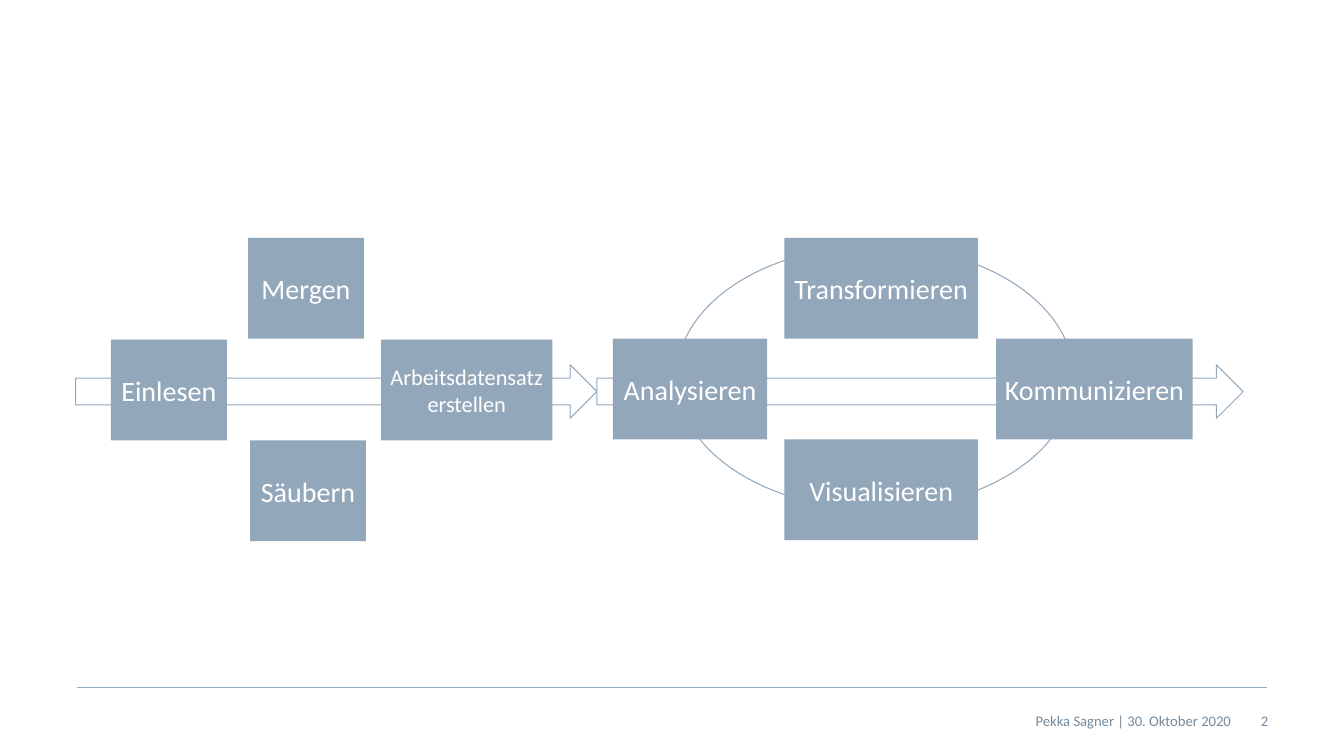
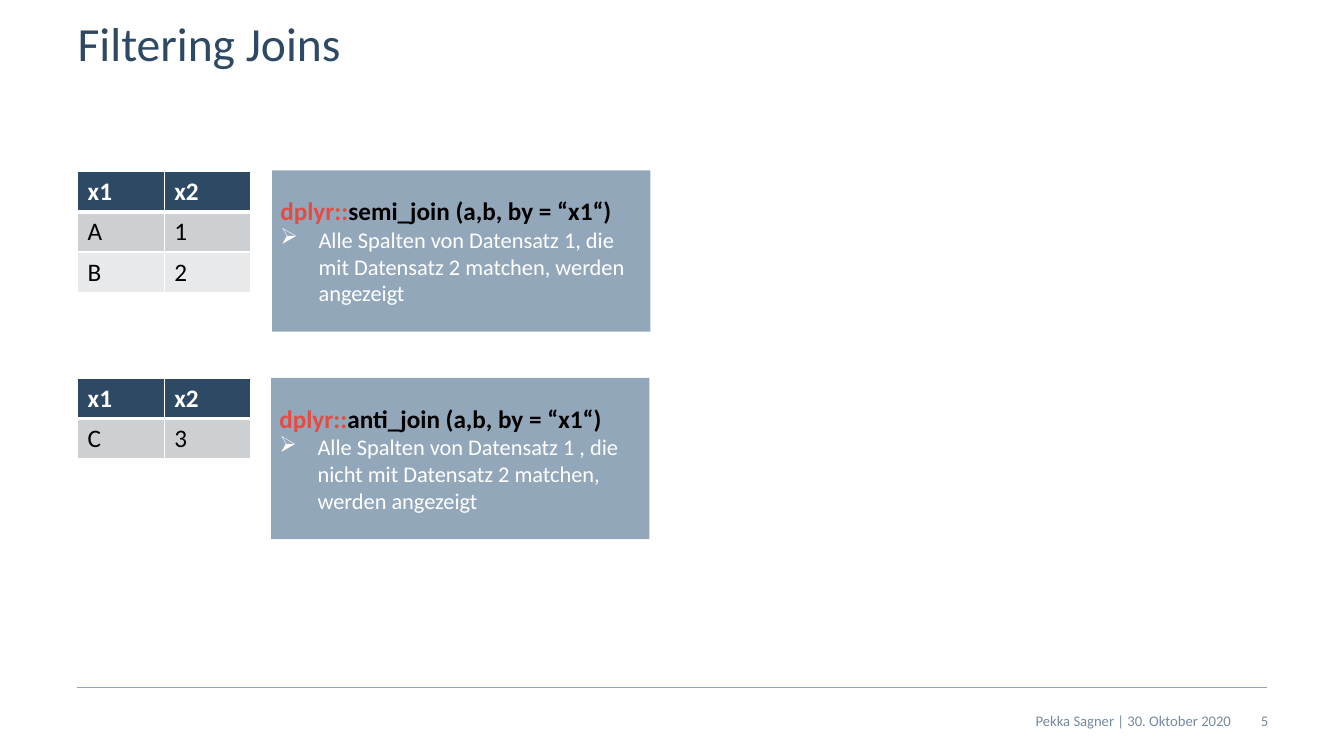
from lxml import etree
from pptx import Presentation
from pptx.dml.color import RGBColor
from pptx.enum.shapes import MSO_CONNECTOR, MSO_SHAPE
from pptx.enum.text import MSO_ANCHOR, PP_ALIGN
from pptx.oxml.ns import qn
from pptx.util import Inches, Pt

RECTANGLE, ELLIPSE, ARROW = MSO_SHAPE.RECTANGLE, MSO_SHAPE.OVAL, MSO_SHAPE.RIGHT_ARROW
STRAIGHT = MSO_CONNECTOR.STRAIGHT
LEFT, CENTER, RIGHT = PP_ALIGN.LEFT, PP_ALIGN.CENTER, PP_ALIGN.RIGHT
TOP, MIDDLE = MSO_ANCHOR.TOP, MSO_ANCHOR.MIDDLE

FONT = "Calibri"
NAVY, STEEL, FOOTER_GREY = "2E4964", "93A7BB", "748A9D"
RED, BLACK, WHITE = "E74A40", "000000", "FFFFFF"
BAND_COLORS = ("CDD0D3", "E8E9EA")
TITLE_ONLY, BLANK = 5, 6


def rgb(color):
    return RGBColor.from_string(color)


def place(left, top, width, height):
    return Inches(left), Inches(top), Inches(width), Inches(height)


def format_spans(para, size, color, bold=False):
    for span in para.runs:
        span.font.name = FONT
        span.font.size = Pt(size)
        span.font.bold = bold
        span.font.color.rgb = rgb(color)


def set_frame(frame, inset, anchor, wrap=True):
    frame.margin_left = frame.margin_right = Inches(inset)
    frame.margin_top = frame.margin_bottom = Inches(inset)
    frame.vertical_anchor = anchor
    frame.word_wrap = wrap


# Shared parts
def add_title(page, text):
    title = page.shapes.title
    title.left, title.top, title.width, title.height = place(0.77, 0.2, 11.8, 0.63)
    title.text_frame.text = text
    set_frame(title.text_frame, 0, TOP)
    para = title.text_frame.paragraphs[0]
    para.alignment = LEFT
    para.line_spacing = 0.9
    format_spans(para, 34, NAVY)


def add_footer(page, number):
    rule = page.shapes.add_connector(
        STRAIGHT, Inches(0.76), Inches(6.82), Inches(12.57), Inches(6.82))
    rule.line.color.rgb = rgb(STEEL)
    rule.line.width = Pt(1)
    etree.SubElement(rule.element.spPr, qn("a:effectLst"))
    for text, left, width in ((str(number), 12.2, 0.38),
                              ("Pekka Sagner | 30. Oktober 2020", 6.04, 6.17)):
        box = page.shapes.add_textbox(*place(left, 6.95, width, 0.4))
        set_frame(box.text_frame, 0, MIDDLE)
        para = box.text_frame.paragraphs[0]
        para.text = text
        para.alignment = RIGHT
        format_spans(para, 10.5, FOOTER_GREY)


def add_outline(page, kind, left, top, width, height):
    shape = page.shapes.add_shape(kind, *place(left, top, width, height))
    shape.shadow.inherit = False
    shape.fill.background()
    shape.line.color.rgb = rgb(STEEL)
    shape.line.width = Pt(0.75)


def add_panel(page, left, top, width, height, wrap=True):
    panel = page.shapes.add_shape(RECTANGLE, *place(left, top, width, height))
    panel.shadow.inherit = False
    panel.fill.solid()
    panel.fill.fore_color.rgb = rgb(STEEL)
    panel.line.fill.background()
    set_frame(panel.text_frame, 0.08, MIDDLE, wrap)
    return panel.text_frame


# Workflow diagram
def add_stage(page, left, top, width, lines, size=20):
    frame = add_panel(page, left, top, width, 1, wrap=False)
    frame.text = lines
    for para in frame.paragraphs:
        para.alignment = CENTER
        format_spans(para, size, WHITE)


def add_preparation(page, left, top):
    """Reading, merging and cleaning up to the working data set."""
    add_outline(page, ARROW, left, top + 1.26, 5.17, 0.53)
    add_stage(page, left + 0.35, top + 1.01, 1.15, "Einlesen")
    add_stage(page, left + 1.71, top, 1.15, "Mergen")
    add_stage(page, left + 1.73, top + 2.01, 1.15, "Säubern")
    add_stage(page, left + 3.03, top + 1.01, 1.7, "Arbeitsdatensatz\nerstellen", 16)


def add_analysis(page, left, top):
    """Cycle from analysing to communicating."""
    add_outline(page, ELLIPSE, left + 0.79, top + 0.08, 3.94, 2.61)
    add_outline(page, ARROW, left, top + 1.26, 6.41, 0.53)
    add_stage(page, left + 0.16, top + 1, 1.53, "Analysieren")
    add_stage(page, left + 1.86, top, 1.92, "Transformieren")
    add_stage(page, left + 1.86, top + 2, 1.92, "Visualisieren")
    add_stage(page, left + 3.96, top + 1, 1.95, "Kommunizieren")


def build_workflow(deck):
    page = deck.slides.add_slide(deck.slide_layouts[BLANK])
    add_footer(page, 2)
    add_preparation(page, 0.75, 2.36)
    add_analysis(page, 5.92, 2.36)


# Join examples
def set_border(cell, side, width):
    line = etree.SubElement(cell._tc.get_or_add_tcPr(), qn("a:" + side),
                            w=str(Pt(width)))
    fill = etree.SubElement(line, qn("a:solidFill"))
    etree.SubElement(fill, qn("a:srgbClr"), val=WHITE)


def add_data_table(page, left, top, rows):
    column_width, row_height = 0.86, 0.4
    table = page.shapes.add_table(
        len(rows), 2, *place(left, top, 2 * column_width, row_height * len(rows))).table
    for row_index, values in enumerate(rows):
        header = row_index == 0
        fill = NAVY if header else BAND_COLORS[(row_index - 1) % 2]
        for column_index, value in enumerate(values):
            cell = table.cell(row_index, column_index)
            cell.text = value
            format_spans(cell.text_frame.paragraphs[0], 18,
                         WHITE if header else BLACK, bold=header)
            # Borders come before the fill in the cell properties
            for side in ("lnL", "lnR", "lnT", "lnB"):
                below_header = (header and side == "lnB") or (row_index == 1 and side == "lnT")
                set_border(cell, side, 3 if below_header else 1)
            cell.fill.solid()
            cell.fill.fore_color.rgb = rgb(fill)


def add_bullet(para):
    properties = para._p.get_or_add_pPr()
    properties.set("marL", str(Inches(0.38)))
    properties.set("indent", str(Inches(-0.38)))
    etree.SubElement(properties, qn("a:buChar"), char="➢")


def add_join_text(page, left, top, call, explanation):
    frame = add_panel(page, left, top, 3.75, 1.6)
    heading = frame.paragraphs[0]
    heading.alignment = LEFT
    for text in ("dplyr::", call):
        heading.add_run().text = text
    format_spans(heading, 18, BLACK, bold=True)
    heading.runs[0].font.color.rgb = rgb(RED)
    detail = frame.add_paragraph()
    detail.text = explanation
    detail.alignment = LEFT
    add_bullet(detail)
    format_spans(detail, 16, WHITE)


def build_joins(deck):
    page = deck.slides.add_slide(deck.slide_layouts[TITLE_ONLY])
    add_title(page, "Filtering Joins")
    add_footer(page, 5)
    header = ("x1", "x2")
    joins = (
        (1.7, 2.7, 1.69, [header, ("A", "1"), ("B", "2")], "semi_join (a,b, by = “x1“)",
         "Alle Spalten von Datensatz 1, die mit Datensatz 2 matchen, werden angezeigt"),
        (3.75, 2.69, 3.75, [header, ("C", "3")], "anti_join (a,b, by = “x1“)",
         "Alle Spalten von Datensatz 1 , die nicht mit Datensatz 2 matchen, werden angezeigt"),
    )
    for table_top, text_left, text_top, rows, call, explanation in joins:
        add_data_table(page, 0.77, table_top, rows)
        add_join_text(page, text_left, text_top, call, explanation)


def main():
    deck = Presentation()
    deck.slide_width, deck.slide_height = Inches(13.33), Inches(7.5)
    build_workflow(deck)
    build_joins(deck)
    deck.save("out.pptx")


if __name__ == "__main__":
    main()
